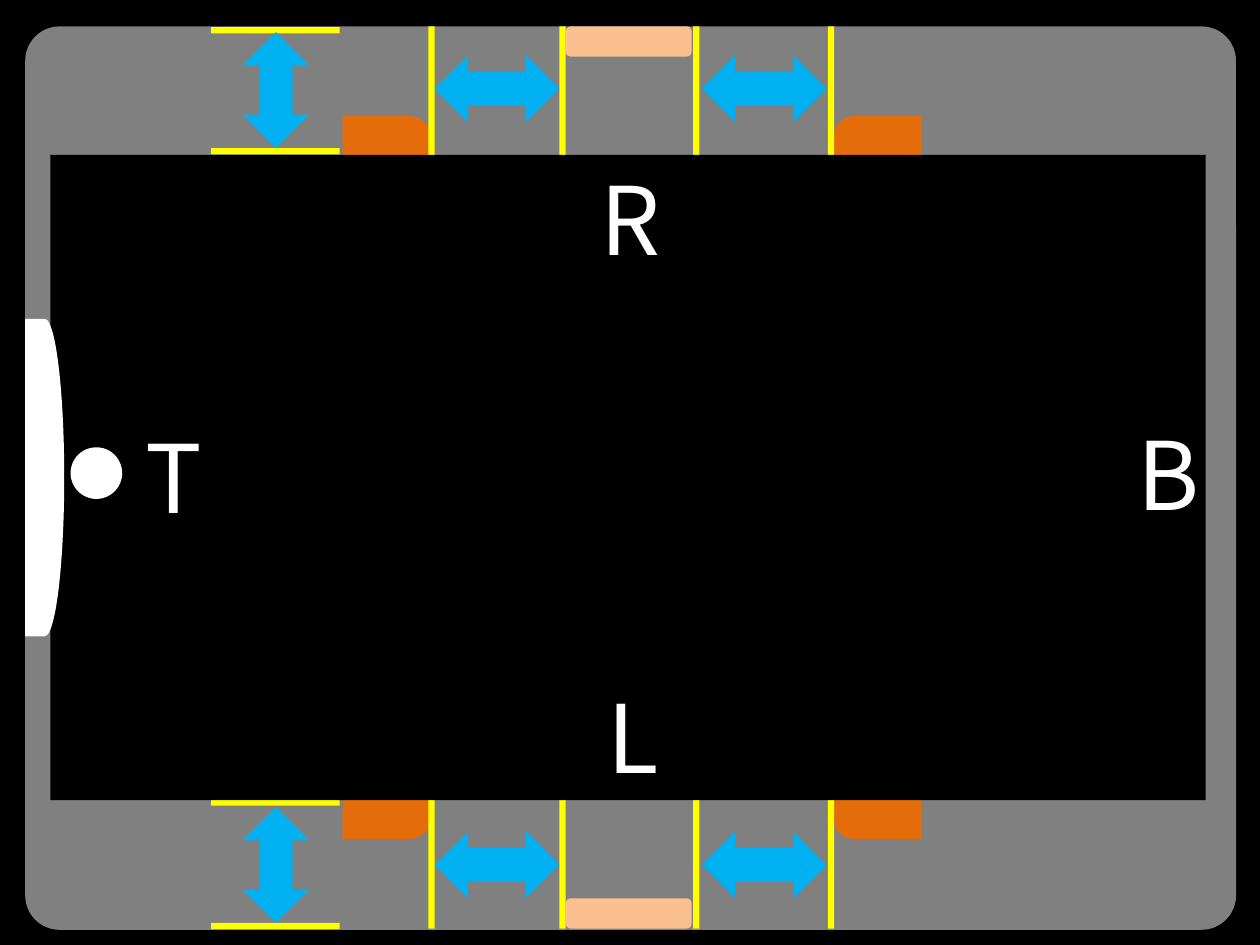
from pptx import Presentation
from pptx.dml.color import RGBColor
from pptx.enum.shapes import MSO_SHAPE as Shape
from pptx.enum.text import MSO_AUTO_SIZE as AutoSize
from pptx.util import Inches, Pt

THEME = {
    "black": "000000",
    "frame": "808080",
    "button": "FAC090",
    "block": "E46C0A",
    "guide": "FFFF00",
    "arrow": "00B0F0",
    "white": "FFFFFF",
    "font": "Noto Sans CJK KR",
    "letter_size": 54,
}

deck = Presentation()
deck.slide_width, deck.slide_height = Inches(10), Inches(7.5)
slide = deck.slides.add_slide(deck.slide_layouts[6])


def add_part(kind, left, top, width, height, color, rotation=0, corner=None):
    part = slide.shapes.add_shape(
        kind, Inches(left), Inches(top), Inches(width), Inches(height))
    part.shadow.inherit = False
    part.fill.solid()
    part.fill.fore_color.rgb = RGBColor.from_string(THEME[color])
    part.line.fill.background()
    part.rotation = rotation
    if corner is not None:
        part.adjustments[0] = corner
    return part


def add_letter(letter, left, top, width):
    label = slide.shapes.add_textbox(
        Inches(left), Inches(top), Inches(width), Inches(1.01))
    frame = label.text_frame
    frame.word_wrap = False
    frame.auto_size = AutoSize.SHAPE_TO_FIT_TEXT
    run = frame.paragraphs[0].add_run()
    run.text = letter
    style = {"name": THEME["font"], "size": Pt(THEME["letter_size"])}
    for name, value in style.items():
        setattr(run.font, name, value)
    run.font.color.rgb = RGBColor.from_string(THEME["white"])


add_part(Shape.RECTANGLE, 0, 0, 10, 7.5, "black")
add_part(Shape.ROUNDED_RECTANGLE, 0.2, 0.21, 9.61, 7.17, "frame", corner=0.038)

for top in (0.21, 7.13):
    add_part(Shape.ROUNDED_RECTANGLE, 4.49, top, 1, 0.24, "button")

for top, vertical_flip in ((0.92, "0"), (6.35, "1")):
    for left, horizontal_flip in ((2.72, "0"), (6.62, "1")):
        block = add_part(Shape.ROUND_1_RECTANGLE, left, top, 0.69, 0.31,
                         "block", corner=0.5)
        placement = block.element.spPr.xfrm
        placement.set("flipH", horizontal_flip)
        placement.set("flipV", vertical_flip)

for top in (0.21, 6.35):
    for left in (3.4, 4.44, 5.5, 6.57):
        add_part(Shape.RECTANGLE, left, top, 0.05, 1.02, "guide")
for top in (-0.27, 0.69, 5.86, 6.84):
    add_part(Shape.RECTANGLE, 2.16, top, 0.05, 1.02, "guide", rotation=90)

for top in (0.44, 6.6):
    for left in (3.45, 5.57):
        add_part(Shape.LEFT_RIGHT_ARROW, left, top, 0.99, 0.53, "arrow")
for top in (0.45, 6.6):
    add_part(Shape.LEFT_RIGHT_ARROW, 1.73, top, 0.92, 0.53, "arrow", rotation=90)

add_part(Shape.RECTANGLE, 0.4, 1.23, 9.17, 5.12, "black")
add_part(Shape.OVAL, 0.56, 3.55, 0.41, 0.41, "white")
add_part(Shape.FLOWCHART_DELAY, 0.2, 2.53, 0.31, 2.52, "white")

for letter, left, top, width in (
    ("T", 1.06, 3.28, 0.61),
    ("B", 8.93, 3.25, 0.64),
    ("R", 4.67, 1.23, 0.66),
    ("L", 4.72, 5.34, 0.56),
):
    add_letter(letter, left, top, width)

deck.save("out.pptx")
